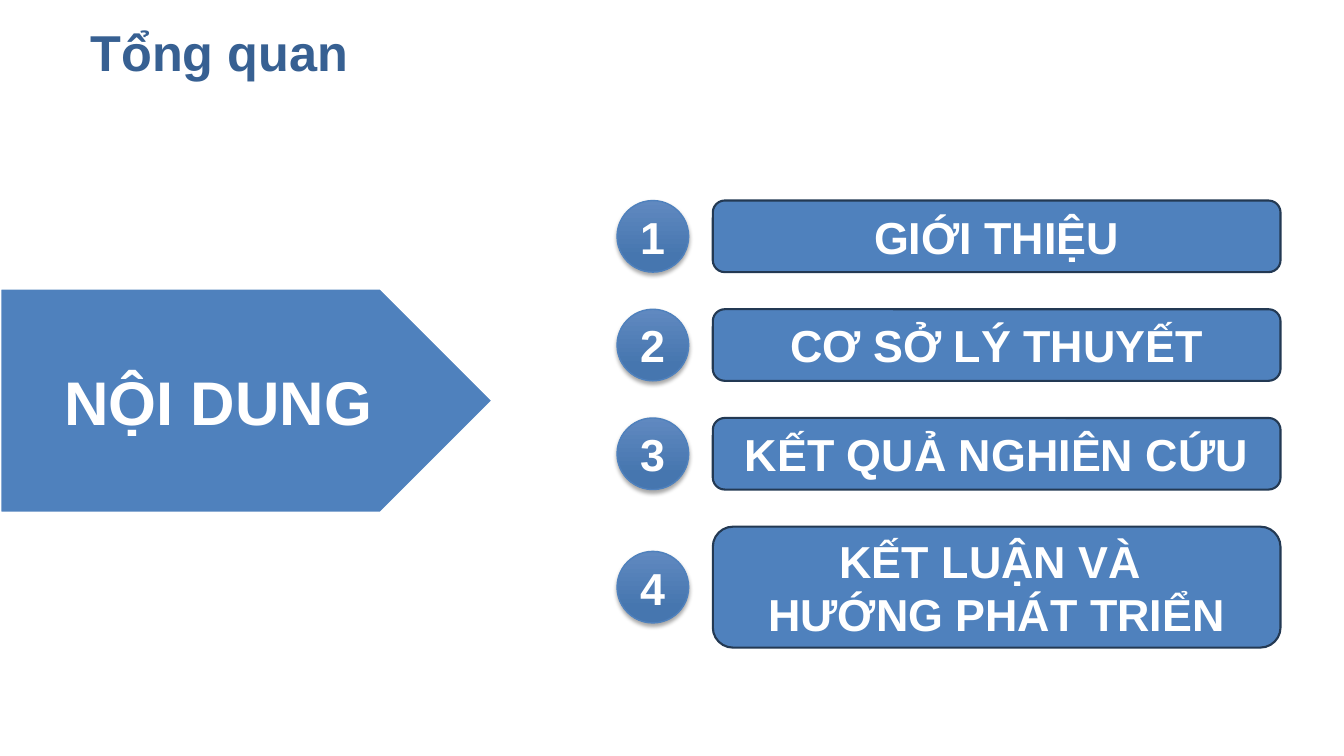
from dataclasses import dataclass

from lxml.etree import SubElement
from pptx import Presentation
from pptx.dml.color import RGBColor
from pptx.enum.shapes import MSO_SHAPE
from pptx.enum.text import MSO_ANCHOR, PP_ALIGN
from pptx.oxml.ns import qn
from pptx.shapes.autoshape import Shape
from pptx.slide import Slide
from pptx.util import Emu, Inches, Pt

SLIDE_WIDTH, SLIDE_HEIGHT = Inches(13.33), Inches(7.5)
FONT = "Arial"
COLORS = {
    "blue": "4F81BD",
    "title": "376092",
    "outline": "233953",
    "white": "FFFFFF",
    "badge_top": "6089C0",
    "badge_bottom": "4676AF",
    "shadow": "000000",
}

# Agenda grid, in percent of the slide's width or height
BADGE_LEFT, BADGE_WIDTH, BADGE_HEIGHT = 45.91, 5.33, 9.47
BAR_LEFT, BAR_WIDTH = 53.04, 42.24
FIRST_ROW, ROW_PITCH = 26.53, 14.38


@dataclass(frozen=True)
class Box:
    """A rectangle in percent of the slide's size."""
    left: float
    top: float
    width: float
    height: float

    def emu(self) -> tuple[Emu, Emu, Emu, Emu]:
        return (
            Emu(round(SLIDE_WIDTH * self.left / 100)),
            Emu(round(SLIDE_HEIGHT * self.top / 100)),
            Emu(round(SLIDE_WIDTH * self.width / 100)),
            Emu(round(SLIDE_HEIGHT * self.height / 100)),
        )


@dataclass(frozen=True)
class AgendaItem:
    lines: tuple[str, ...]
    height: float = 9.47


AGENDA = (
    AgendaItem(("GIỚI THIỆU",)),
    AgendaItem(("CƠ SỞ LÝ THUYẾT",)),
    AgendaItem(("KẾT QUẢ NGHIÊN CỨU",)),
    AgendaItem(("KẾT LUẬN VÀ ", "HƯỚNG PHÁT TRIỂN"), height=16),
)


def rgb(name: str) -> RGBColor:
    return RGBColor.from_string(COLORS[name])


def write_text(shape: Shape, *lines: str, size: float = 32, color: str = "white",
               align: PP_ALIGN = PP_ALIGN.CENTER, wrap: bool = True) -> None:
    frame = shape.text_frame
    frame.word_wrap = wrap
    frame.vertical_anchor = MSO_ANCHOR.MIDDLE
    for index, line in enumerate(lines):
        paragraph = frame.add_paragraph() if index else frame.paragraphs[0]
        paragraph.alignment = align
        run = paragraph.add_run()
        run.text = line
        run.font.name, run.font.size, run.font.bold = FONT, Pt(size), True
        run.font.color.rgb = rgb(color)


def add_block(slide: Slide, kind: MSO_SHAPE, box: Box, line: str, line_width: float) -> Shape:
    shape = slide.shapes.add_shape(kind, *box.emu())
    shape.shadow.inherit = False
    shape.fill.solid()
    shape.fill.fore_color.rgb = rgb("blue")
    shape.line.color.rgb = rgb(line)
    shape.line.width = Pt(line_width)
    return shape


def add_soft_shadow(shape: Shape) -> None:
    effects = shape.element.spPr.find(qn("a:effectLst"))
    shadow = SubElement(effects, qn("a:outerShdw"), blurRad=str(Pt(3)), dist=str(Pt(2)),
                        dir="5400000", rotWithShape="0")
    color = SubElement(shadow, qn("a:srgbClr"), val=COLORS["shadow"])
    SubElement(color, qn("a:alpha"), val="35000")


def add_badge(slide: Slide, number: int, box: Box) -> None:
    badge = add_block(slide, MSO_SHAPE.OVAL, box, "blue", 1)
    badge.fill.gradient()
    badge.fill.gradient_angle = 270
    stops = (("badge_top", 0), ("badge_bottom", 0.78))
    for stop, (color, position) in zip(badge.fill.gradient_stops, stops):
        stop.color.rgb = rgb(color)
        stop.position = position
    add_soft_shadow(badge)
    write_text(badge, str(number), wrap=False)


def add_agenda_row(slide: Slide, index: int, item: AgendaItem) -> None:
    top = FIRST_ROW + index * ROW_PITCH
    bar = add_block(slide, MSO_SHAPE.ROUNDED_RECTANGLE,
                    Box(BAR_LEFT, top, BAR_WIDTH, item.height), "outline", 1.5)
    write_text(bar, *item.lines)
    badge_top = top + (item.height - BADGE_HEIGHT) / 2
    add_badge(slide, index + 1, Box(BADGE_LEFT, badge_top, BADGE_WIDTH, BADGE_HEIGHT))


def main() -> None:
    presentation = Presentation()
    presentation.slide_width, presentation.slide_height = SLIDE_WIDTH, SLIDE_HEIGHT
    slide = presentation.slides.add_slide(presentation.slide_layouts[6])

    # Contents arrow
    arrow = add_block(slide, MSO_SHAPE.PENTAGON, Box(0, 38.13, 36.68, 29.73), "white", 2)
    write_text(arrow, "NỘI DUNG", size=44)

    # Title
    title = slide.shapes.add_textbox(*Box(6, 1.2, 94, 11.07).emu())
    write_text(title, "Tổng quan", size=36, color="title", align=PP_ALIGN.LEFT)

    # Numbered agenda
    for index, item in enumerate(AGENDA):
        add_agenda_row(slide, index, item)

    presentation.save("out.pptx")


if __name__ == "__main__":
    main()
